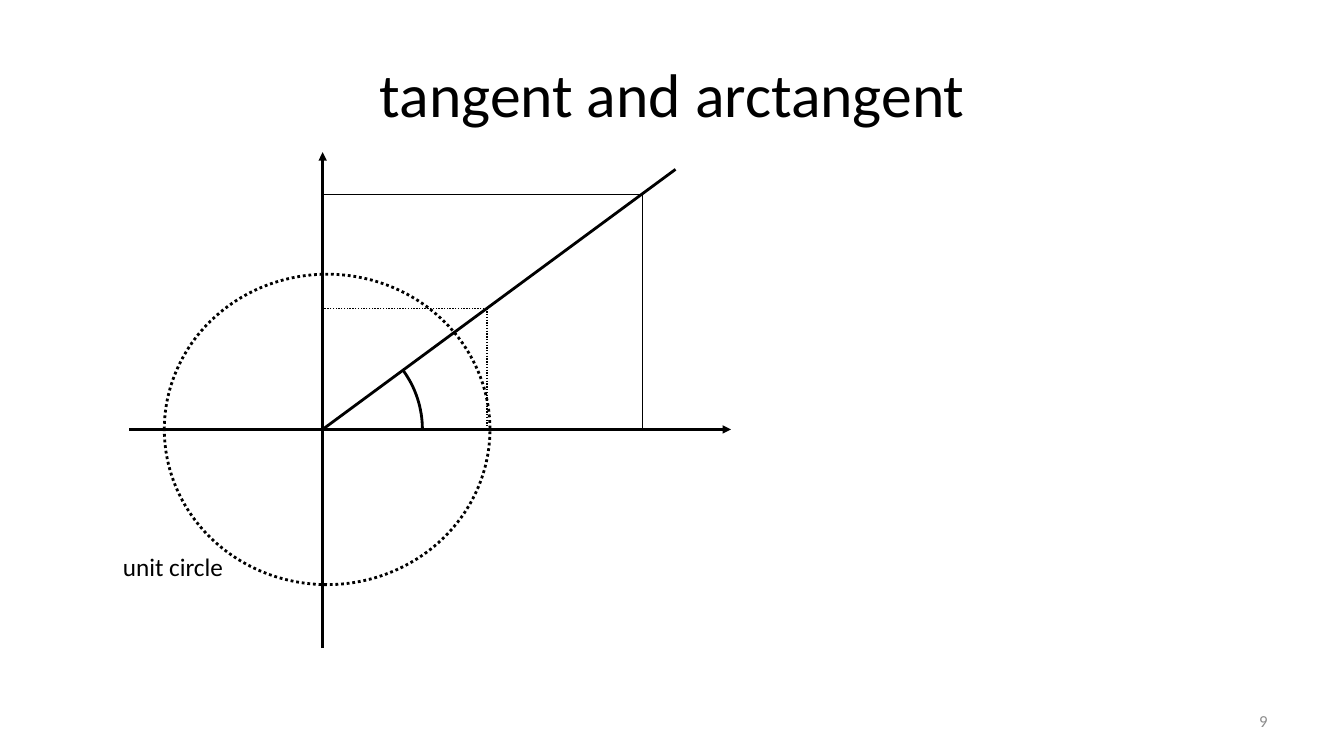
import math

from lxml import etree
from pptx import Presentation
from pptx import util as u
from pptx.dml.color import RGBColor
from pptx.enum import dml, shapes, text
from pptx.oxml import ns

PX = 9144
FONT = "Calibri"
COLORS = {"ink": "000000", "muted": "8C8C8C"}


def px(length):
    return u.Emu(round(length * PX))


def add_label(page, box, words, size, color="ink", align=text.PP_ALIGN.LEFT,
              anchor=text.MSO_ANCHOR.TOP, wrap=True):
    frame = page.shapes.add_textbox(*map(px, box)).text_frame
    frame.word_wrap = wrap
    frame.vertical_anchor = anchor
    para = frame.paragraphs[0]
    para.text = words
    para.alignment = align
    para.font.name = FONT
    para.font.size = u.Pt(size)
    para.font.color.rgb = RGBColor.from_string(COLORS[color])


def style_line(line, width, dotted=False):
    line.color.rgb = RGBColor.from_string(COLORS["ink"])
    line.width = u.Pt(width)
    if dotted:
        line.dash_style = dml.MSO_LINE.ROUND_DOT


def add_line(page, start, end, width, dotted=False, arrow=False):
    line = page.shapes.add_connector(
        shapes.MSO_CONNECTOR.STRAIGHT, *map(px, start + end))
    style_line(line.line, width, dotted)
    properties = line._element.spPr
    if arrow:
        etree.SubElement(properties.find(ns.qn("a:ln")), ns.qn("a:tailEnd"),
                         type="triangle")
    etree.SubElement(properties, ns.qn("a:effectLst"))


def add_angle_arc(page, center, radius, angle, steps=16):
    points = []
    for step in range(steps + 1):
        turn = angle * step / steps
        points.append((px(center[0] + radius * math.cos(turn)),
                       px(center[1] - radius * math.sin(turn))))
    builder = page.shapes.build_freeform(*points[0])
    builder.add_line_segments(points[1:], close=False)
    arc = builder.convert_to_shape()
    arc.shadow.inherit = False
    arc.fill.background()
    style_line(arc.line, 2)


def add_unit_circle(page, box):
    circle = page.shapes.add_shape(shapes.MSO_SHAPE.OVAL, *map(px, box))
    circle.shadow.inherit = False
    circle.fill.background()
    style_line(circle.line, 2, dotted=True)


def add_diagram(page, box):
    left, top, width, height = box
    origin_x, origin_y = left + 192, top + 275
    ray_end = (origin_x + 350, top + 17)

    add_line(page, (left, origin_y), (left + width, origin_y), 2, arrow=True)
    add_line(page, (origin_x, top + height), (origin_x, top), 2, arrow=True)
    add_line(page, (origin_x, origin_y), ray_end, 2)

    for run, rise, width_pt, dotted in ((317, 233, 1, False),
                                        (163, 120, 1, True)):
        corner = (origin_x + run, origin_y - rise)
        add_line(page, corner, (origin_x, corner[1]), width_pt, dotted)
        add_line(page, corner, (corner[0], origin_y), width_pt, dotted)

    angle = math.atan2(origin_y - ray_end[1], ray_end[0] - origin_x)
    add_angle_arc(page, (origin_x, origin_y), 99, angle)
    add_label(page, (left - 16, top + 391, 121, 40), "unit circle", 18,
              wrap=False)
    add_unit_circle(page, (left + 35, origin_y - 154, 323, 308))


def add_title(page, box):
    add_label(page, box, "tangent and arctangent", 44,
              align=text.PP_ALIGN.CENTER, anchor=text.MSO_ANCHOR.MIDDLE)


def add_page_number(page, box):
    add_label(page, box, "9", 12, "muted", text.PP_ALIGN.RIGHT,
              text.MSO_ANCHOR.MIDDLE)


def main():
    deck = Presentation()
    deck.slide_width, deck.slide_height = px(1333), px(750)
    page = deck.slides.add_slide(deck.slide_layouts[6])
    add_page_number(page, (956, 695, 311, 40))
    add_title(page, (67, 30, 1200, 125))
    add_diagram(page, (128, 151, 597, 492))
    deck.save("out.pptx")


if __name__ == "__main__":
    main()
